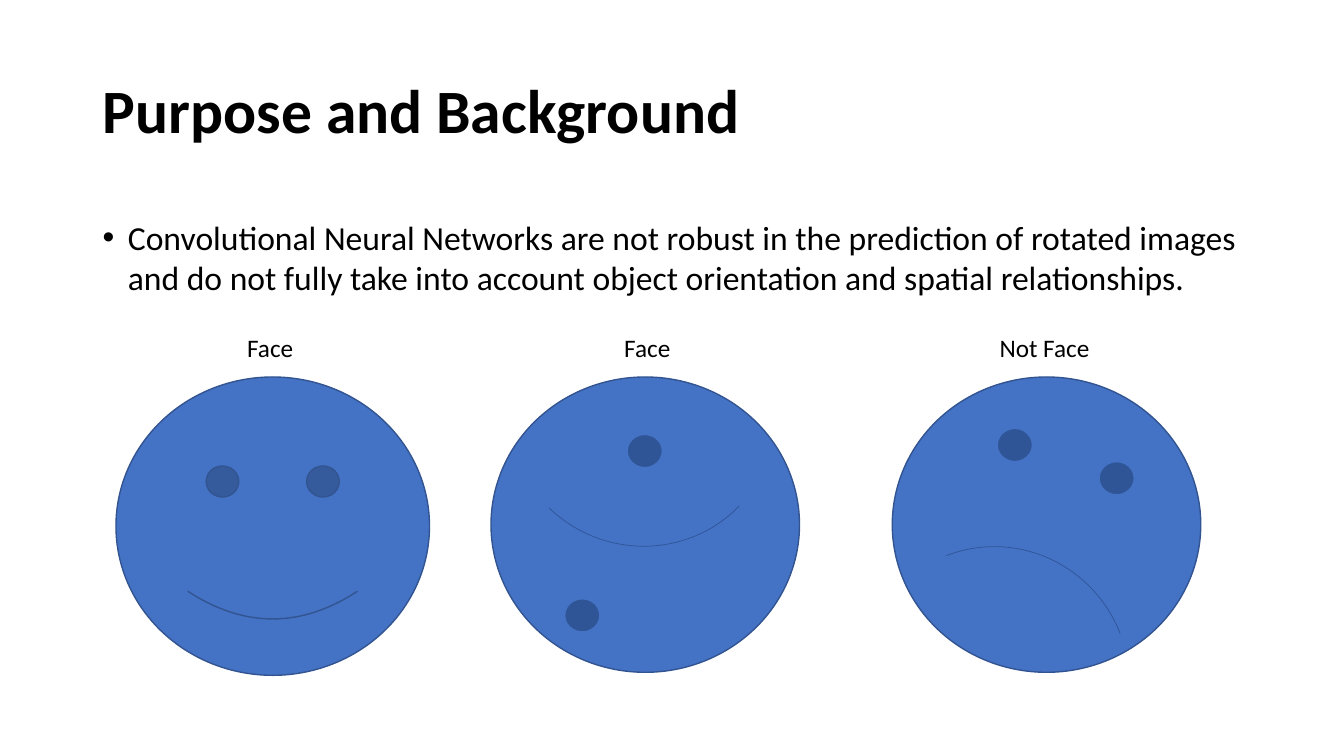
from lxml.etree import SubElement
from pptx import Presentation
from pptx.dml.color import RGBColor
from pptx.enum.shapes import MSO_SHAPE
from pptx.enum.text import MSO_ANCHOR, MSO_AUTO_SIZE, PP_ALIGN
from pptx.oxml.ns import qn
from pptx.util import Emu, Pt

PX = 9144  # EMU per px, 100 px to the inch
FONT = "Calibri"
COLORS = {
    "text": "000000",
    "face": "4472C4",
    "outline": "325491",
    "feature": "2F5597",
}
FACE_TOP = 374
EYE_SIZE = (35, 33)
MOUTH_SIZE = (265, 269)
LABELS = [("Face", 268), ("Face", 642), ("Not Face", 1036)]  # text, centre

# Left edge, eye corners, mouth corner and mouth rotation
SCRAMBLED_FACES = [
    (487, [(560, 594), (622, 431)], (504, 274), 134),
    (885, [(989, 425), (1090, 458)], (855, 542), 338.7),
]


def px(value):
    return Emu(value * PX)


def rgb(name):
    return RGBColor.from_string(COLORS[name])


def set_font(paragraph, size, bold=False):
    font = paragraph.font
    font.name, font.size, font.bold = FONT, Pt(size), bold
    font.color.rgb = rgb("text")


def add_bullet(paragraph, indent):
    properties = paragraph._p.get_or_add_pPr()
    properties.set("marL", str(px(indent)))
    properties.set("indent", str(-px(indent)))
    SubElement(properties, qn("a:buFont"), typeface="Arial")
    SubElement(properties, qn("a:buChar"), char="•")


def add_title(slide, text):
    title = slide.shapes.title
    title.left, title.top, title.width, title.height = map(px, (92, 40, 1150, 145))
    frame = title.text_frame
    frame.text = text
    frame.auto_size = MSO_AUTO_SIZE.NONE
    frame.vertical_anchor = MSO_ANCHOR.MIDDLE
    paragraph = frame.paragraphs[0]
    paragraph.alignment = PP_ALIGN.LEFT
    paragraph.line_spacing = 0.9
    set_font(paragraph, 44, bold=True)


def add_text(slide, box, text, size, align=PP_ALIGN.LEFT, bullet_indent=None):
    frame = slide.shapes.add_textbox(*map(px, box)).text_frame
    frame.word_wrap = True
    frame.text = text
    paragraph = frame.paragraphs[0]
    paragraph.alignment = align
    if bullet_indent:
        add_bullet(paragraph, bullet_indent)
    set_font(paragraph, size)


def add_figure(slide, kind, box, fill, line, weight=1, rotation=0):
    shape = slide.shapes.add_shape(kind, *map(px, box))
    shape.shadow.inherit = False
    shape.rotation = rotation
    if fill:
        shape.fill.solid()
        shape.fill.fore_color.rgb = rgb(fill)
    else:
        shape.fill.background()
    shape.line.color.rgb = rgb(line)
    shape.line.width = Pt(weight)


def add_scrambled_face(slide, left, eyes, mouth, rotation):
    add_figure(slide, MSO_SHAPE.OVAL, (left, FACE_TOP, 306, 293), "face", "outline")
    for eye in eyes:
        add_figure(slide, MSO_SHAPE.OVAL, (*eye, *EYE_SIZE), "feature", "face")
    add_figure(slide, MSO_SHAPE.ARC, (*mouth, *MOUTH_SIZE), None, "feature", 0.5, rotation)


def main():
    presentation = Presentation()
    presentation.slide_width, presentation.slide_height = px(1333), px(750)
    slide = presentation.slides.add_slide(presentation.slide_layouts[5])

    # Title and statement
    add_title(slide, "Purpose and Background")
    add_text(
        slide, (92, 210, 1150, 100),
        "Convolutional Neural Networks are not robust in the prediction of rotated images "
        "and do not fully take into account object orientation and spatial relationships.",
        24, bullet_indent=25,
    )

    # Faces
    add_figure(slide, MSO_SHAPE.SMILEY_FACE, (115, FACE_TOP, 311, 296), "face", "outline")
    for face in SCRAMBLED_FACES:
        add_scrambled_face(slide, *face)

    # Labels above the faces
    for text, centre in LABELS:
        add_text(slide, (centre - 100, 325, 200, 40), text, 18, PP_ALIGN.CENTER)

    presentation.save("out.pptx")


if __name__ == "__main__":
    main()
